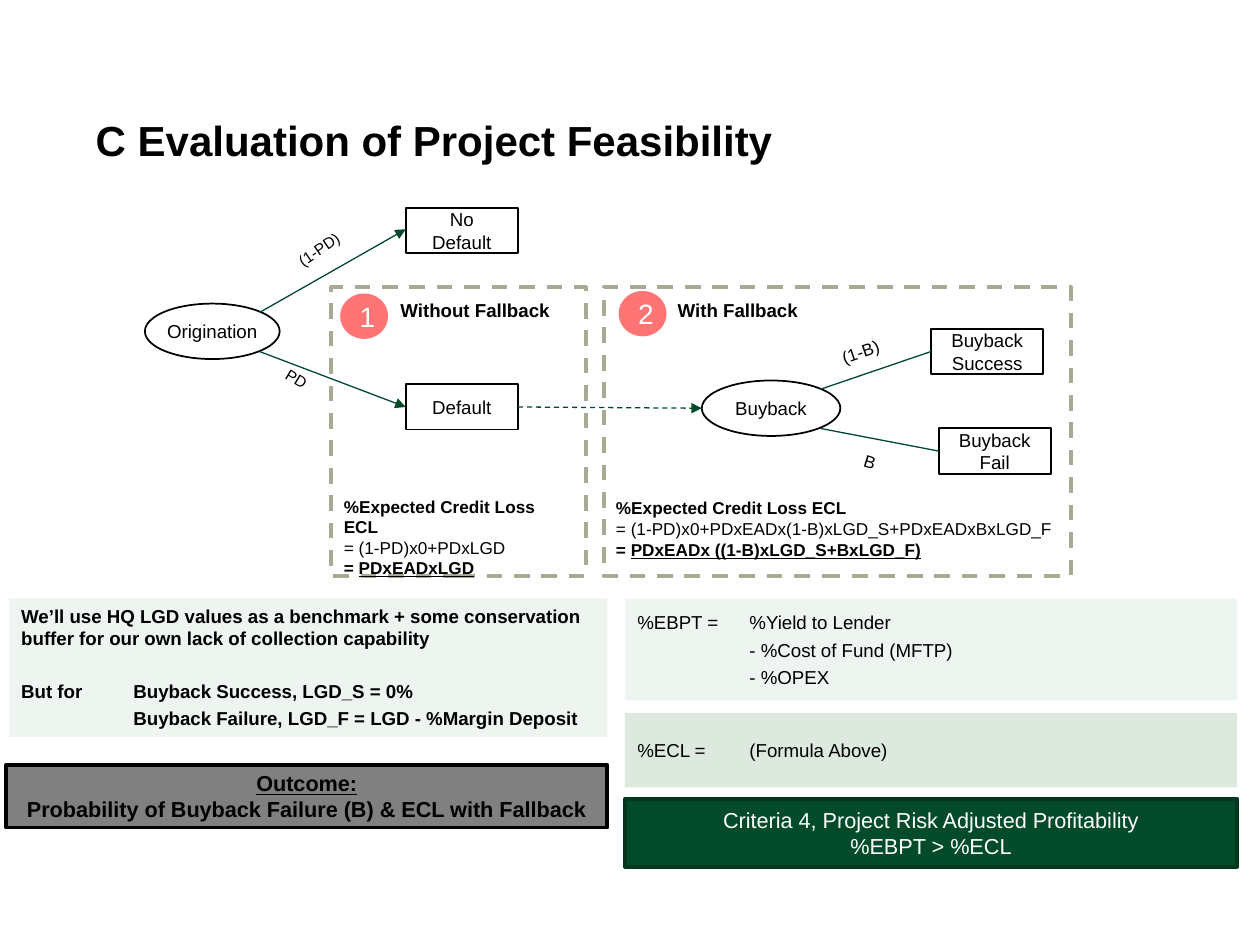
from dataclasses import dataclass

from lxml import etree
from pptx import Presentation
from pptx.dml.color import RGBColor
from pptx.enum.dml import MSO_LINE
from pptx.enum.shapes import MSO_CONNECTOR, MSO_SHAPE
from pptx.enum.text import MSO_ANCHOR, MSO_AUTO_SIZE, PP_ALIGN
from pptx.oxml.ns import qn
from pptx.slide import Slide
from pptx.text.text import TextFrame
from pptx.util import Emu, Pt

RECT, OVAL = MSO_SHAPE.RECTANGLE, MSO_SHAPE.OVAL
STRAIGHT, DASH = MSO_CONNECTOR.STRAIGHT, MSO_LINE.DASH
LEFT, CENTER = PP_ALIGN.LEFT, PP_ALIGN.CENTER
TOP, MIDDLE = MSO_ANCHOR.TOP, MSO_ANCHOR.MIDDLE
NO_FIT, GROW = MSO_AUTO_SIZE.NONE, MSO_AUTO_SIZE.SHAPE_TO_FIT_TEXT
EMU_PER_PX = 9144
TITLE_ONLY = 5


@dataclass(frozen=True)
class Theme:
    font: str = "Arial"
    black: str = "000000"
    white: str = "FFFFFF"
    pale: str = "EEF4EF"
    mint: str = "DDE9DE"
    green: str = "014B2A"
    deep: str = "01371F"
    arrow: str = "004A29"
    panel: str = "A7AA95"
    badge: str = "FF7575"
    gray: str = "808080"
    title: float = 24
    number: float = 16
    banner: float = 12.4
    body: float = 10.7
    formula: float = 9.8
    small: float = 8.9


THEME = Theme()


@dataclass(frozen=True)
class Para:
    text: str
    size: float = THEME.body
    bold: bool = False
    underlined: str = ""
    color: str = THEME.black
    before: float = 0
    indent: int = 0


@dataclass(frozen=True)
class Box:
    place: tuple[int, int, int, int]
    paras: tuple[Para, ...]
    fill: str | None = THEME.white
    line: str | None = None
    weight: float = 1
    shape: int = RECT
    align: int = CENTER
    anchor: int = MIDDLE
    insets: tuple[int, int, int, int] = (10, 5, 10, 5)
    dashed: bool = False


@dataclass(frozen=True)
class Link:
    start: tuple[int, int]
    end: tuple[int, int]
    arrow: bool = False
    dashed: bool = False


@dataclass(frozen=True)
class Label:
    place: tuple[int, int, int, int]
    text: str
    size: float
    angle: float


def px(length: int) -> Emu:
    return Emu(length * EMU_PER_PX)


def rgb(color: str) -> RGBColor:
    return RGBColor.from_string(color)


def write(frame: TextFrame, paras: tuple[Para, ...], align: int) -> None:
    for index, para in enumerate(paras):
        paragraph = frame.add_paragraph() if index else frame.paragraphs[0]
        paragraph.alignment = align
        if para.before:
            paragraph.space_before = Pt(para.before)
        properties = paragraph._p.get_or_add_pPr()
        if para.indent:
            properties.set("marL", str(px(para.indent)))
        if "\t" in para.text:
            tabs = etree.SubElement(properties, qn("a:tabLst"))
            etree.SubElement(tabs, qn("a:tab"), pos=str(px(89)), algn="l")
        font = paragraph.font
        font.name, font.size, font.bold = THEME.font, Pt(para.size), para.bold
        font.color.rgb = rgb(para.color)
        if para.text:
            paragraph.add_run().text = para.text
        if para.underlined:
            span = paragraph.add_run()
            span.text = para.underlined
            span.font.underline = True


def draw_box(page: Slide, box: Box) -> None:
    shape = page.shapes.add_shape(box.shape, *map(px, box.place))
    shape.shadow.inherit = False
    if box.fill:
        shape.fill.solid()
        shape.fill.fore_color.rgb = rgb(box.fill)
    else:
        shape.fill.background()
    if box.line:
        shape.line.color.rgb = rgb(box.line)
        shape.line.width = Pt(box.weight)
        if box.dashed:
            shape.line.dash_style = DASH
    else:
        shape.line.fill.background()
    frame = shape.text_frame
    frame.word_wrap, frame.vertical_anchor = True, box.anchor
    (frame.margin_left, frame.margin_top,
     frame.margin_right, frame.margin_bottom) = map(px, box.insets)
    write(frame, box.paras, box.align)


def draw_link(page: Slide, link: Link) -> None:
    line = page.shapes.add_connector(STRAIGHT, *map(px, link.start + link.end))
    line.line.color.rgb = rgb(THEME.arrow)
    line.line.width = Pt(0.75)
    if link.dashed:
        line.line.dash_style = DASH
    if link.arrow:
        etree.SubElement(line.line._get_or_add_ln(), qn("a:tailEnd"), type="triangle")
    etree.SubElement(line._element.spPr, qn("a:effectLst"))


def draw_label(page: Slide, label: Label) -> None:
    box = page.shapes.add_textbox(*map(px, label.place))
    box.rotation = label.angle
    box.text_frame.word_wrap = False
    box.text_frame.auto_size = GROW
    write(box.text_frame, (Para(label.text, label.size),), LEFT)


def draw_title(page: Slide, text: str) -> None:
    title = page.shapes.title
    title.left, title.top, title.width, title.height = map(px, (66, 92, 898, 42))
    frame = title.text_frame
    frame.auto_size, frame.vertical_anchor = NO_FIT, MIDDLE
    write(frame, (Para(text, THEME.title, True),), LEFT)
    frame.paragraphs[0].line_spacing = 0.9


def panel(left: int, width: int, heading: str, indent: int, gap: float,
          expansion: str, result: str) -> Box:
    paras = (
        Para(heading, bold=True, indent=indent),
        Para("%Expected Credit Loss ECL", THEME.formula, True, before=gap),
        Para(expansion, THEME.formula),
        Para("= ", THEME.formula, True, result),
    )
    return Box((left, 228, width, 229), paras, None, THEME.panel, 2.25,
               align=LEFT, anchor=TOP, insets=(10, 9, 10, 0), dashed=True)


def badge(left: int, top: int, number: str) -> Box:
    return Box((left, top, 38, 36), (Para(number, THEME.number, color=THEME.white),),
               THEME.badge, shape=OVAL)


def node(left: int, top: int, *lines: str) -> Box:
    return Box((left, top, 89, 36), tuple(map(Para, lines)), line=THEME.black)


def event(left: int, top: int, width: int, text: str) -> Box:
    return Box((left, top, width, 44), (Para(text),), line=THEME.black,
               shape=OVAL, insets=(0, 5, 0, 5))


def note(place: tuple[int, int, int, int], fill: str, anchor: int, *paras: Para) -> Box:
    return Box(place, paras, fill, align=LEFT, anchor=anchor)


def banner(place: tuple[int, int, int, int], fill: str, line: str, *paras: Para) -> Box:
    return Box(place, paras, fill, line, 2, insets=(0, 0, 0, 0))


BOXES = (
    note((496, 566, 486, 59), THEME.mint, MIDDLE, Para("%ECL =\t(Formula Above)")),
    note((496, 475, 486, 81), THEME.pale, MIDDLE,
         Para("%EBPT =\t%Yield to Lender"),
         Para("\t- %Cost of Fund (MFTP)", before=2.7),
         Para("\t- %OPEX", before=2.7)),
    note((7, 475, 475, 110), THEME.pale, TOP,
         Para("We’ll use HQ LGD values as a benchmark + some conservation "
              "buffer for our own lack of collection capability", bold=True),
         Para("But for \tBuyback Success, LGD_S = 0%", bold=True, before=17.4),
         Para("\tBuyback Failure, LGD_F = LGD - %Margin Deposit", bold=True, before=2.7)),
    panel(263, 202, "Without Fallback", 45, 100, "= (1-PD)x0+PDxLGD", "PDxEADxLGD"),
    panel(479, 371, "With Fallback", 49, 101,
          "= (1-PD)x0+PDxEADx(1-B)xLGD_S+PDxEADxBxLGD_F",
          "PDxEADx ((1-B)xLGD_S+BxLGD_F)"),
    badge(270, 233, "1"),
    badge(491, 231, "2"),
    event(115, 241, 107, "Origination"),
    node(322, 165, "No Default"),
    node(322, 305, "Default"),
    event(557, 302, 110, "Buyback"),
    node(739, 261, "Buyback Success"),
    node(745, 340, "Buyback", "Fail"),
    banner((5, 607, 477, 50), THEME.gray, THEME.black,
           Para("", THEME.banner, True, "Outcome:"),
           Para("Probability of Buyback Failure (B) & ECL with Fallback",
                THEME.banner, True)),
    banner((496, 634, 486, 54), THEME.green, THEME.deep,
           Para("Criteria 4, Project Risk Adjusted Profitability",
                THEME.banner, color=THEME.white),
           Para("%EBPT > %ECL", THEME.banner, color=THEME.white)),
)
LINKS = (
    Link((206, 248), (322, 182), arrow=True),
    Link((206, 279), (322, 323), arrow=True),
    Link((411, 323), (557, 324), arrow=True, dashed=True),
    Link((651, 309), (739, 279)),
    Link((651, 340), (745, 358)),
)
LABELS = (
    Label((225, 185, 57, 25), "(1-PD)", THEME.small, -34.2),
    Label((217, 288, 37, 25), "PD", THEME.small, 31.1),
    Label((658, 266, 51, 27), "(1-B)", THEME.formula, -18.8),
    Label((676, 353, 29, 27), "B", THEME.formula, 17.1),
)


def main() -> None:
    deck = Presentation()
    deck.slide_width, deck.slide_height = px(1000), px(750)
    page = deck.slides.add_slide(deck.slide_layouts[TITLE_ONLY])
    draw_title(page, "C Evaluation of Project Feasibility")
    for draw, items in ((draw_box, BOXES), (draw_link, LINKS), (draw_label, LABELS)):
        for item in items:
            draw(page, item)
    deck.save("out.pptx")


if __name__ == "__main__":
    main()
